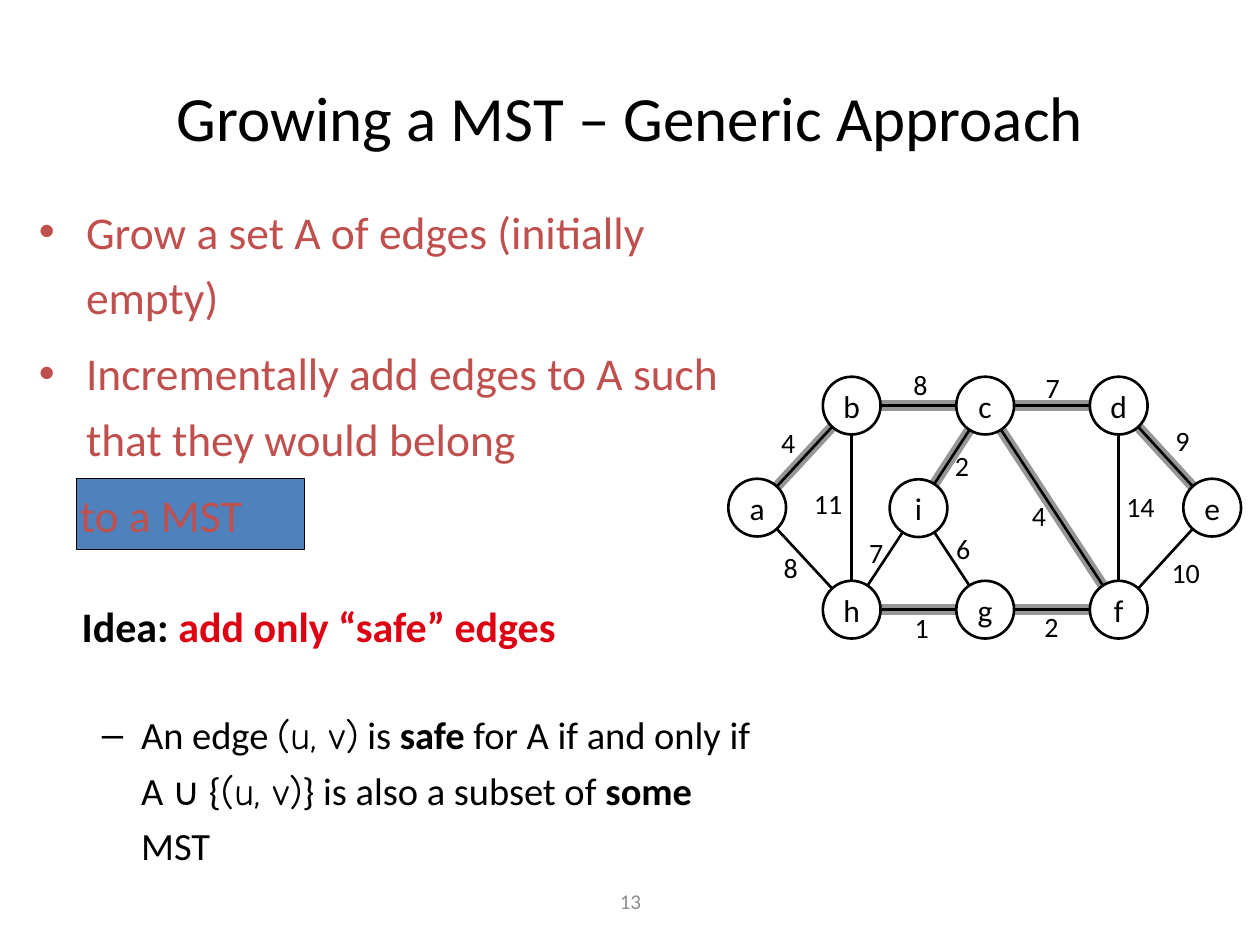
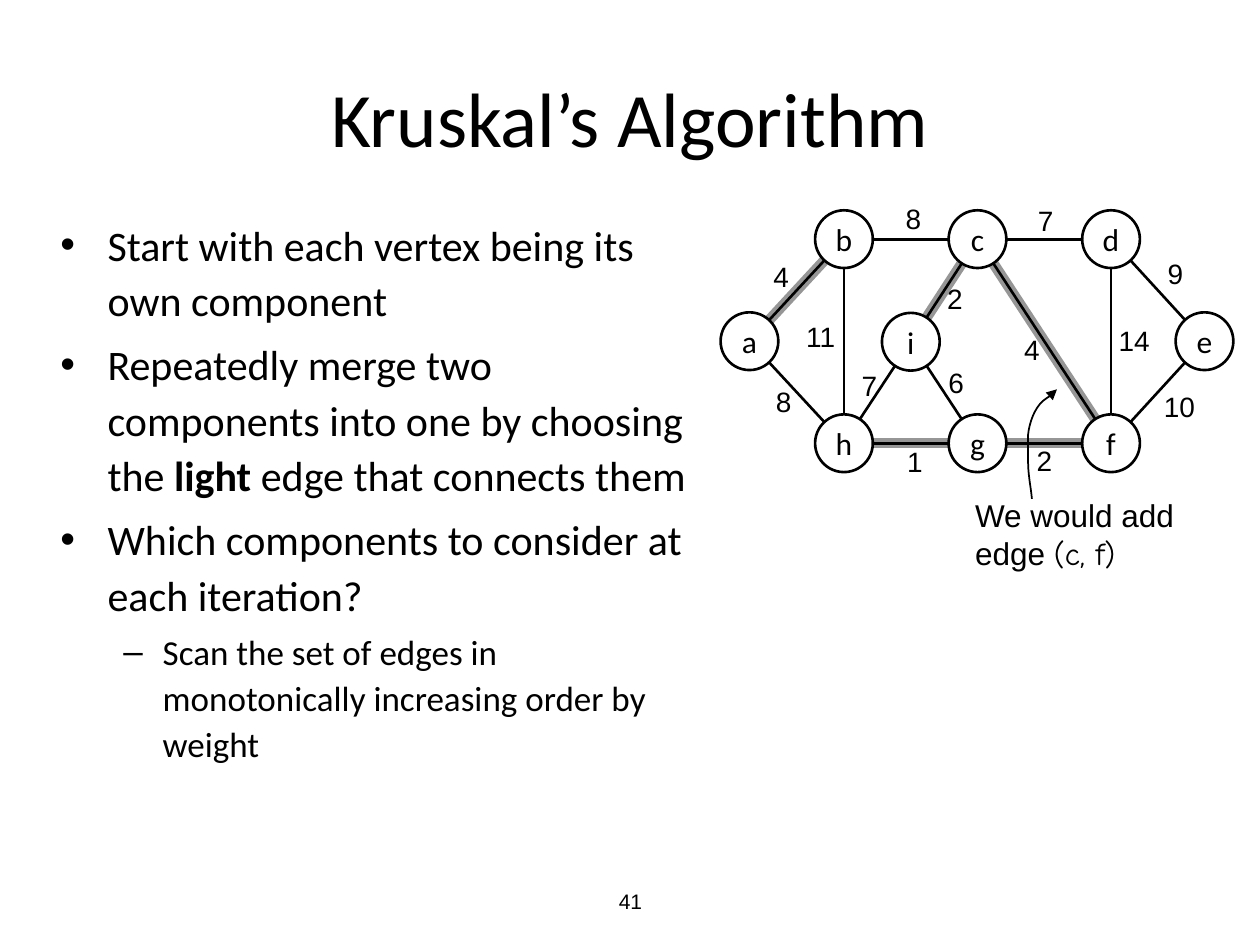
from math import hypot
from lxml.etree import SubElement
from pptx import Presentation
from pptx.dml.color import RGBColor
from pptx.enum.shapes import MSO_CONNECTOR, MSO_SHAPE
from pptx.enum.text import MSO_ANCHOR, MSO_AUTO_SIZE, PP_ALIGN
from pptx.oxml.ns import qn
from pptx.util import Pt

SANS, ARIAL, COMIC = "Calibri", "Arial", "Comic Neue"
BLACK, GREY, RED, BLUE = "000000", "969696", "C0504D", "4F81BD"
SIZE = 33
NODES = {
    "a": (0, 58.3), "b": (54, 0), "c": (130.3, 0), "d": (206.6, 0), "e": (260, 58.3),
    "h": (54, 116.6), "g": (130.3, 116.6), "f": (206.6, 116.6), "i": (92.2, 58.6),
}
EDGES = {
    "ab": ("4", 23, 24.5), "bc": ("8", 98.6, -8.6), "cd": ("7", 174.2, -7.2),
    "ah": ("8", 24.5, 95.8), "bh": ("11", 41.8, 59), "hg": ("1", 99.4, 130.3),
    "gf": ("2", 173.5, 129.6), "hi": ("7", 73.4, 87.1), "ci": ("2", 122.4, 37.4),
    "cf": ("4", 166.3, 66.2), "df": ("14", 220.3, 61.2), "de": ("9", 248.4, 23),
    "ef": ("10", 246.2, 98.6), "ig": ("6", 123.1, 85),
}


def paint(value):
    return RGBColor.from_string(value)


def curve(p, q, r, s, steps=8):
    for n in range(1, steps + 1):
        t = n / steps
        u = 1 - t
        yield tuple(
            Pt(u**3 * a + 3 * u * u * t * b + 3 * u * t * t * c + t**3 * d)
            for a, b, c, d in zip(p, q, r, s)
        )


class Deck:
    def __init__(self):
        self.prs = Presentation()
        self.prs.slide_width, self.prs.slide_height = Pt(720), Pt(540)

    def start(self, title, size, number, font, color):
        self.slide = self.prs.slides.add_slide(self.prs.slide_layouts[5])
        head = self.slide.shapes.title
        head.left, head.top, head.width, head.height = Pt(36), Pt(21.6), Pt(648), Pt(90)
        head.text_frame.vertical_anchor = MSO_ANCHOR.MIDDLE
        self.fill(head.text_frame.paragraphs[0], [(title, {})], size, align=PP_ALIGN.CENTER)
        foot = self.text(246.2, 500.4, 228.2, 28.8)
        foot.vertical_anchor = MSO_ANCHOR.MIDDLE
        self.fill(foot.paragraphs[0], [(number, {})], 12, font, color, PP_ALIGN.CENTER)

    def fill(self, para, runs, size, font=SANS, color=BLACK, align=PP_ALIGN.LEFT):
        para.alignment = align
        for text, style in runs:
            run = para.add_run()
            run.text = text
            run.font.size = Pt(size)
            run.font.name = style.get("font", font)
            run.font.bold = style.get("bold", False)
            run.font.color.rgb = paint(style.get("color", color))

    def text(self, x, y, w, h, wrap=True):
        frame = self.slide.shapes.add_textbox(Pt(x), Pt(y), Pt(w), Pt(h)).text_frame
        frame.word_wrap = wrap
        if not wrap:
            frame.auto_size = MSO_AUTO_SIZE.SHAPE_TO_FIT_TEXT
        return frame

    def lines(self, frame, rows, size, font=SANS):
        for n, runs in enumerate(rows):
            para = frame.add_paragraph() if n else frame.paragraphs[0]
            self.fill(para, runs, size, font)

    def points(self, frame, rows, pitch):
        for n, (runs, size, color, mark, margin, hang, gap) in enumerate(rows):
            para = frame.add_paragraph() if n else frame.paragraphs[0]
            props = para._p.get_or_add_pPr()
            props.set("marL", str(Pt(margin)))
            props.set("indent", str(-Pt(hang)))
            if mark:
                SubElement(props, qn("a:buFont")).set("typeface", ARIAL)
                SubElement(props, qn("a:buChar")).set("char", mark)
            para.line_spacing = pitch
            para.space_before = Pt(gap)
            self.fill(para, runs, size, color=color)

    def shape(self, kind, x, y, w, h, fill=None, width=1.5):
        item = self.slide.shapes.add_shape(kind, Pt(x), Pt(y), Pt(w), Pt(h))
        item.shadow.inherit = False
        if fill:
            item.fill.solid()
            item.fill.fore_color.rgb = paint(fill)
        else:
            item.fill.background()
        item.line.color.rgb = paint(BLACK)
        item.line.width = Pt(width)
        return item

    def line(self, ends, color, width):
        item = self.slide.shapes.add_connector(MSO_CONNECTOR.STRAIGHT, *map(Pt, ends))
        SubElement(item._element.spPr, qn("a:effectLst"))
        item.line.color.rgb = paint(color)
        item.line.width = Pt(width)

    def arrow(self, first, parts):
        build = self.slide.shapes.build_freeform(*map(Pt, first), scale=1.0)
        for q, r, s in parts:
            build.add_line_segments(list(curve(first, q, r, s)), close=False)
            first = s
        item = build.convert_to_shape()
        item.shadow.inherit = False
        item.fill.background()
        item.line.color.rgb = paint(BLACK)
        item.line.width = Pt(1)
        SubElement(item.line._get_or_add_ln(), qn("a:tailEnd")).set("type", "triangle")

    def graph(self, x, y, chosen, font):
        def ends(edge):
            (ax, ay), (bx, by) = (NODES[name] for name in edge)
            span = hypot(bx - ax, by - ay)
            half = SIZE / 2
            dx, dy = (bx - ax) / span * half, (by - ay) / span * half
            left, top = x + half, y + half
            return left + ax + dx, top + ay + dy, left + bx - dx, top + by - dy

        for edge in chosen:
            self.line(ends(edge), GREY, 6)
        for name, (dx, dy) in NODES.items():
            node = self.shape(MSO_SHAPE.OVAL, x + dx, y + dy, SIZE, SIZE)
            frame = node.text_frame
            frame.word_wrap = False
            frame.vertical_anchor = MSO_ANCHOR.MIDDLE
            self.fill(frame.paragraphs[0], [(name, {})], 18, align=PP_ALIGN.CENTER)
        for edge, (weight, dx, dy) in EDGES.items():
            self.line(ends(edge), BLACK, 1.5)
            label = self.text(x + dx, y + dy, 14 + 9 * len(weight), 26.6, False)
            self.lines(label, [[(weight, {})]], 16, font)


def generic(deck):
    deck.start("Growing a MST – Generic Approach", 36, "13", SANS, "8C8C8C")
    deck.shape(MSO_SHAPE.RECTANGLE, 43.9, 273.6, 130.3, 40.3, BLUE, 0.75)
    deck.graph(416.2, 215.3, ["ab", "bc", "cd", "hg", "gf", "ci", "cf", "de"], SANS)
    bold, comic = {"bold": True}, {"font": COMIC}
    safe = [
        ("An edge ", {}), ("(u, v)", comic), (" is ", {}), ("safe ", bold),
        ("for A if and only if A ∪ {", {}), ("(u, v)", comic),
        ("} is also a subset of ", {}), ("some", bold), (" MST", {}),
    ]
    grow = [("Grow a set A of edges (initially empty)", {})]
    add = [("Incrementally add edges to A such that they would belong", {})]
    rows = [
        (grow, 26, RED, "•", 27, 27, 0),
        (add, 26, RED, "•", 27, 27, 6),
        ([("to a MST", {})], 26, RED, None, 23.4, 0, 6),
        (safe, 22, BLACK, "–", 58.5, 22.5, 92),
    ]
    deck.points(deck.text(15.1, 106.6, 422.6, 308.9), rows, 1.2)
    idea = [("Idea:", bold), (" add only “safe” edges", {"bold": True, "color": "DD0111"})]
    deck.lines(deck.text(39.6, 339.8, 427, 36), [idea], 24)


def kruskal(deck):
    deck.start("Kruskal’s Algorithm", 44, "41", ARIAL, BLACK)
    deck.graph(411.8, 120.2, ["cf", "ab", "hg", "gf", "ci"], ARIAL)
    note = [[("We would add", {})], [("edge ", {}), ("(c, f)", {"font": COMIC})]]
    deck.lines(deck.text(550.1, 280.1, 128.2, 50.4, False), note, 18, ARIAL)
    deck.arrow((589.7, 285.1), [
        ((589, 278), (587.5, 271), (587.5, 264.2)),
        ((587.5, 259), (587.5, 254), (587.5, 248.4)),
        ((588.2, 242), (591, 233.3), (596.2, 229)),
        ((600, 226), (602, 225.5), (604, 222.5)),
    ])
    merge = [
        ("Repeatedly merge two components into one by choosing the ", {}),
        ("light", {"bold": True}), (" edge that connects them", {}),
    ]
    scan = "Scan the set of edges in monotonically increasing order by weight"
    rows = [
        ([("Start with each vertex being its own component", {})], 24, BLACK, "•", 27, 27, 0),
        (merge, 24, BLACK, "•", 27, 27, 5),
        ([("Which components to consider at each iteration?", {})], 24, BLACK, "•", 27, 27, 5),
        ([(scan, {})], 20, BLACK, "–", 58.5, 22.5, 4),
    ]
    deck.points(deck.text(27.4, 118.8, 372.2, 371.5), rows, 1.1)


def main():
    deck = Deck()
    generic(deck)
    kruskal(deck)
    deck.prs.save("out.pptx")


if __name__ == "__main__":
    main()
